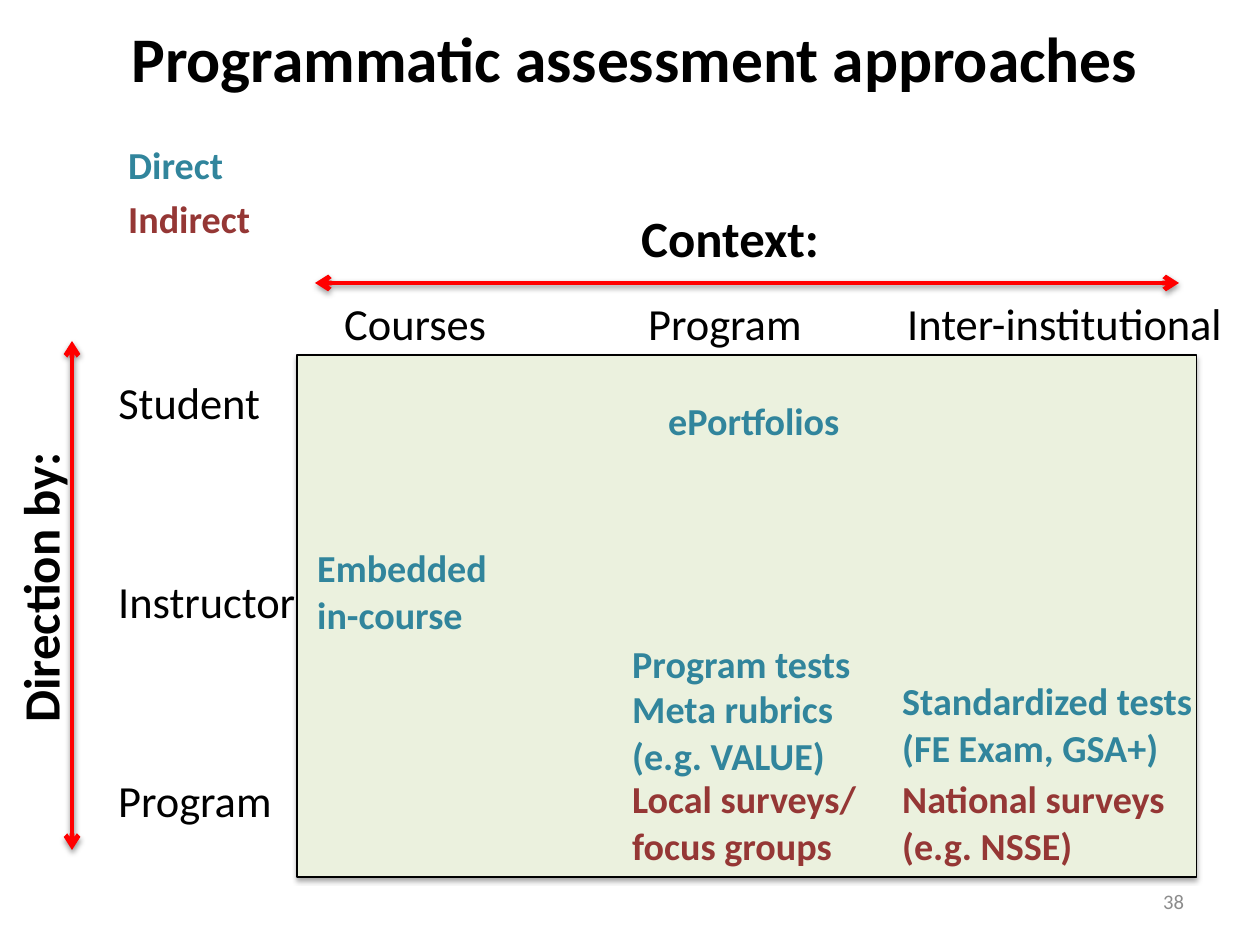
from dataclasses import dataclass

import pptx
import pptx.dml.color
import pptx.enum.shapes
import pptx.enum.text
import pptx.oxml
import pptx.oxml.ns
import pptx.util

EMU_PER_PX = 8000
SLIDE_WIDTH, SLIDE_HEIGHT = 1260, 945
FONT = "Calibri"
BLACK, GREY, RED = "000000", "8C8C8C", "FF0000"
DIRECT, INDIRECT = "31859C", "953735"
PALE_GREEN = "EBF1DE"
ALIGN = pptx.enum.text.PP_ALIGN
ANCHOR = pptx.enum.text.MSO_ANCHOR
AUTO_SIZE = pptx.enum.text.MSO_AUTO_SIZE


@dataclass(frozen=True)
class Label:
    lines: tuple[str, ...]
    left: int
    top: int
    width: int
    height: int
    size: int = 28
    color: str = BLACK
    bold: bool = False
    wrap: bool = False
    rotation: int = 0


@dataclass(frozen=True)
class Axis:
    start: tuple[int, int]
    end: tuple[int, int]


def px(length: int) -> int:
    return pptx.util.Emu(length * EMU_PER_PX)


def rgb(color: str) -> pptx.dml.color.RGBColor:
    return pptx.dml.color.RGBColor.from_string(color)


def apply(target, formats: dict) -> None:
    for attribute, value in formats.items():
        setattr(target, attribute, value)


def style_font(font, size: int, color: str, bold: bool) -> None:
    apply(font, {"name": FONT, "size": pptx.util.Pt(size), "bold": bold})
    font.color.rgb = rgb(color)


def add_shadow(shape, distance: int, opacity: int) -> None:
    """Give the shape a soft black shadow straight below it."""
    shape._element.spPr.append(pptx.oxml.parse_xml(
        f'<a:effectLst {pptx.oxml.ns.nsdecls("a")}>'
        f'<a:outerShdw blurRad="40000" dist="{distance}" dir="5400000" rotWithShape="0">'
        f'<a:srgbClr val="{BLACK}"><a:alpha val="{opacity * 1000}"/></a:srgbClr>'
        '</a:outerShdw></a:effectLst>'))


def add_label(slide, label: Label) -> None:
    box = slide.shapes.add_textbox(
        px(label.left), px(label.top), px(label.width), px(label.height))
    box.rotation = label.rotation
    frame = box.text_frame
    apply(frame, {"word_wrap": label.wrap, "auto_size": AUTO_SIZE.SHAPE_TO_FIT_TEXT})
    frame.text = "\n".join(label.lines)
    for paragraph in frame.paragraphs:
        paragraph.line_spacing = 1.02
        style_font(paragraph.font, label.size, label.color, label.bold)


def add_axis(slide, axis: Axis) -> None:
    arrow = slide.shapes.add_connector(
        pptx.enum.shapes.MSO_CONNECTOR.STRAIGHT,
        *map(px, axis.start), *map(px, axis.end))
    arrow.line.width = pptx.util.Pt(3)
    arrow.line.color.rgb = rgb(RED)
    for end in ("headEnd", "tailEnd"):
        arrow.line._get_or_add_ln().append(pptx.oxml.parse_xml(
            f'<a:{end} {pptx.oxml.ns.nsdecls("a")} type="arrow"/>'))
    add_shadow(arrow, 20000, 38)


def add_title(slide, text: str) -> None:
    title = slide.shapes.title
    apply(title, {"left": px(63), "top": px(3), "width": px(1143), "height": px(109)})
    title.text_frame.text = text
    apply(title.text_frame, {"vertical_anchor": ANCHOR.MIDDLE,
                             "auto_size": AUTO_SIZE.NONE, "word_wrap": True})
    heading = title.text_frame.paragraphs[0]
    heading.alignment = ALIGN.CENTER
    style_font(heading.font, 40, BLACK, True)


def add_page_number(slide, number: str) -> None:
    box = slide.shapes.add_textbox(px(903), px(876), px(294), px(50))
    frame = box.text_frame
    frame.text = number
    apply(frame, {"word_wrap": True, "vertical_anchor": ANCHOR.MIDDLE,
                  "margin_left": px(13), "margin_right": px(13)})
    frame.paragraphs[0].alignment = ALIGN.RIGHT
    style_font(frame.paragraphs[0].font, 13, GREY, False)


def add_matrix(slide) -> None:
    matrix = slide.shapes.add_shape(
        pptx.enum.shapes.MSO_SHAPE.RECTANGLE, px(297), px(355), px(900), px(522))
    matrix.fill.solid()
    matrix.fill.fore_color.rgb = rgb(PALE_GREEN)
    matrix.line.color.rgb = rgb(BLACK)
    matrix.line.width = pptx.util.Pt(0.75)
    add_shadow(matrix, 23000, 35)


def assessment(color: str, left: int, top: int, width: int, *lines: str) -> Label:
    height = 58 if len(lines) == 1 else 105
    return Label(lines, left, top, width, height, 24, color, bold=True, wrap=True)


PROGRAM_LEFT, INTER_LEFT = 621, 891
DIRECTORS = [
    Label((name,), 107, 368 + row * 199, width, 66)
    for row, (name, width) in enumerate(
        [("Student", 167), ("Instructor", 207), ("Program", 179)])
]
CONTEXTS = [
    Label((name,), left, 289, width, 66)
    for name, left, width in [
        ("Courses", 333, 167), ("Program", 637, 179), ("Inter-institutional", 896, 344)]
]
AXIS_TITLES = [
    Label(("Direction by:",), -109, 549, 296, 74, 32, bold=True, rotation=270),
    Label(("Context:",), 630, 200, 205, 74, 32, bold=True),
]
LEGEND = [
    assessment(DIRECT, 117, 135, 216, "Direct"),
    assessment(INDIRECT, 117, 189, 216, "Indirect"),
]
ASSESSMENTS = [
    assessment(DIRECT, 657, 391, 216, "ePortfolios"),
    assessment(DIRECT, 306, 538, 251, "Embedded", "in-course"),
    assessment(DIRECT, PROGRAM_LEFT, 634, 333, "Program tests"),
    assessment(DIRECT, PROGRAM_LEFT, 679, 333, "Meta rubrics", "(e.g. VALUE)"),
    assessment(INDIRECT, PROGRAM_LEFT, 769, 405, "Local surveys/", "focus groups"),
    assessment(DIRECT, INTER_LEFT, 671, 333, "Standardized tests", "(FE Exam, GSA+)"),
    assessment(INDIRECT, INTER_LEFT, 769, 405, "National surveys", "(e.g. NSSE)"),
]
AXES = [Axis((72, 341), (72, 850)), Axis((1179, 283), (315, 283))]


def main() -> None:
    presentation = pptx.Presentation()
    apply(presentation, {"slide_width": px(SLIDE_WIDTH), "slide_height": px(SLIDE_HEIGHT)})
    slide = presentation.slides.add_slide(presentation.slide_layouts[5])
    add_title(slide, "Programmatic assessment approaches")
    add_page_number(slide, "38")
    add_matrix(slide)
    for axis in AXES:
        add_axis(slide, axis)
    for label in DIRECTORS + CONTEXTS + AXIS_TITLES + LEGEND + ASSESSMENTS:
        add_label(slide, label)
    presentation.save("out.pptx")


if __name__ == "__main__":
    main()
